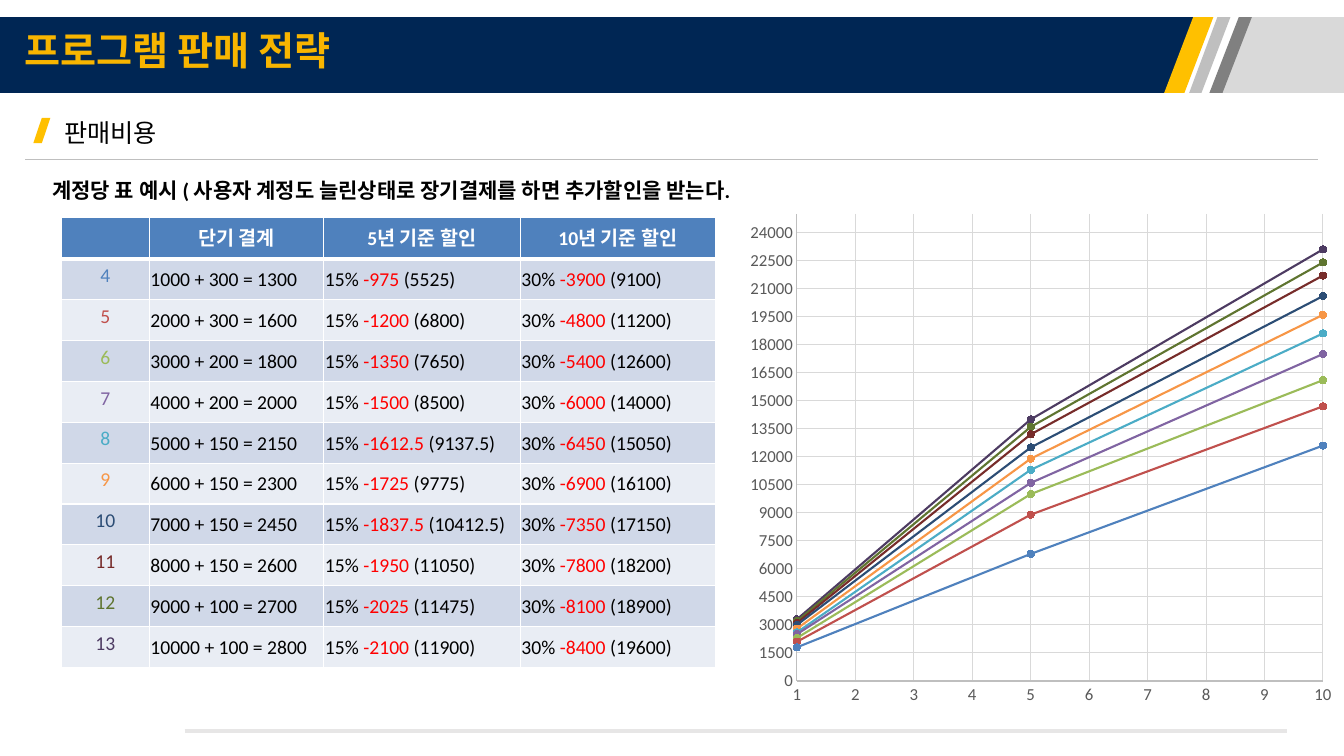
from lxml import etree
from pptx import Presentation, util as u
from pptx.chart.data import XyChartData
from pptx.dml.color import RGBColor
from pptx.enum import chart as ch, shapes, text
from pptx.oxml import parse_xml
from pptx.oxml.ns import nsdecls, qn

TITLE = "프로그램 판매 전략"
SECTION = "판매비용"
HEADING = "계정당 표 예시 ( 사용자 계정도 늘린상태로 장기결제를 하면 추가할인을 받는다."
HEADERS = ["", "단기 결계", "5년 기준 할인", "10년 기준 할인"]
PLANS = [
    (4, 1000, 300, "4F81BD", (1800, 6800, 12600)),
    (5, 2000, 300, "C0504D", (2100, 8900, 14700)),
    (6, 3000, 200, "9BBB59", (2300, 10000, 16100)),
    (7, 4000, 200, "8064A2", (2500, 10600, 17500)),
    (8, 5000, 150, "4BACC6", (2600, 11300, 18600)),
    (9, 6000, 150, "F79646", (2800, 11900, 19600)),
    (10, 7000, 150, "2C4D75", (3000, 12500, 20600)),
    (11, 8000, 150, "772C2A", (3100, 13200, 21700)),
    (12, 9000, 100, "5F7530", (3200, 13600, 22400)),
    (13, 10000, 100, "4D3B62", (3300, 14000, 23100)),
]
SHORT_TERMS = [300 + 1000, 1600, 1800, 2000, 2150, 2300, 2450, 2600, 2700, 2800]
DISCOUNTS = [(5, 15), (10, 30)]
YEARS = (1, 5, 10)
COLORS = {
    "navy": "002654", "gold": "FFC000", "title": "F8B500", "pale": "D9D9D9",
    "silver": "BFBFBF", "gray": "808080", "footer": "E7E6E6", "black": "000000",
    "white": "FFFFFF", "red": "FF0000", "label": "595959",
    "header": "4F81BD", "odd": "D0D8E8", "even": "E9EDF4",
}
BAND_TOP, BAND_BOTTOM = 0.43, 2.34
BAND = [
    ("navy", 0, 30.1, 29.36, 0),
    ("pale", 31.24, 33.87, 33.87, 30.51),
    ("silver", 30.68, 31.01, 30.28, 29.97),
    ("gray", 31.22, 31.55, 30.81, 30.48),
    ("gold", 30.07, 30.58, 29.85, 29.34),
]
RULES = [(4.65, 32.44, 18.42, "footer", 2.28), (0.64, 33.22, 4.01, "silver", 0.75)]
COLUMNS = [2.21, 4.4, 4.95, 4.93]
ROW_HEIGHT = 1.03
PLOT = {"x": 0.096, "y": 0.018, "w": 0.87, "h": 0.914}
BODY_FONT, KOREAN_FONT = "Calibri", "Noto Sans CJK KR"


def rgb(name):
    return RGBColor.from_string(COLORS.get(name, name))


def paint(shape, color):
    shape.shadow.inherit = False
    shape.fill.solid()
    shape.fill.fore_color.rgb = rgb(color)
    shape.line.fill.background()


def style(run, size, color, bold=False, font=BODY_FONT):
    run.font.size, run.font.bold, run.font.name = u.Pt(size), bold, font
    run.font.color.rgb = rgb(color)
    korean = etree.SubElement(run.font._element, qn("a:ea"))
    korean.set("typeface", KOREAN_FONT)


def add_text(slide, wording, box, size, bold=False):
    frame = slide.shapes.add_textbox(*map(u.Cm, box)).text_frame
    frame.word_wrap = True
    frame.text = wording
    style(frame.paragraphs[0].runs[0], size, "black", bold)
    return frame.paragraphs[0]


def add_rule(slide, left, right, y, color, width):
    rule = slide.shapes.add_connector(
        shapes.MSO_CONNECTOR.STRAIGHT, u.Cm(left), u.Cm(y), u.Cm(right), u.Cm(y))
    rule.line.color.rgb, rule.line.width = rgb(color), u.Pt(width)
    etree.SubElement(rule.element.spPr, qn("a:effectLst"))


def fill_cell(cell, parts, fill, header=False, centered=False):
    paragraph = cell.text_frame.paragraphs[0]
    for wording, color in parts:
        run = paragraph.add_run()
        run.text = wording
        style(run, 14, color, header)
    if centered:
        paragraph.alignment = text.PP_ALIGN.CENTER
    else:
        cell.vertical_anchor = text.MSO_ANCHOR.MIDDLE
        cell.margin_left = cell.margin_right = cell.margin_top = u.Cm(0.03)
        cell.margin_bottom = 0
    properties = cell._tc.get_or_add_tcPr()
    for side in ("L", "R", "T", "B"):
        width = u.Pt(3 if header and side == "B" else 1)
        properties.append(parse_xml(
            f'<a:ln{side} {nsdecls("a")} w="{width}"><a:solidFill>'
            f'<a:srgbClr val="{COLORS["white"]}"/></a:solidFill></a:ln{side}>'))
    cell.fill.solid()
    cell.fill.fore_color.rgb = rgb(fill)


def add_prices(slide):
    prices = slide.shapes.add_table(
        len(PLANS) + 1, len(COLUMNS), u.Cm(1.55), u.Cm(5.49),
        u.Cm(sum(COLUMNS)), u.Cm(ROW_HEIGHT * (len(PLANS) + 1))).table
    for column, width in zip(prices.columns, COLUMNS):
        column.width = u.Cm(width)
    for row in prices.rows:
        row.height = u.Cm(ROW_HEIGHT)
    for col, wording in enumerate(HEADERS):
        parts = [(wording, "white")] if wording else []
        fill_cell(prices.cell(0, col), parts, "header", True, True)
    for row, ((accounts, base, extra, color, _), short) in enumerate(zip(PLANS, SHORT_TERMS), 1):
        fill = "odd" if row % 2 else "even"
        fill_cell(prices.cell(row, 0), [(str(accounts), color)], fill, centered=True)
        fill_cell(prices.cell(row, 1), [(f"{base} + {extra} = {short}", "black")], fill)
        for col, (years, percent) in enumerate(DISCOUNTS, 2):
            saved = short * years * percent / 100
            parts = [(f"{percent}% ", "black"), (f"-{saved:g} ", "red"),
                     (f"({short * years - saved:g})", "black")]
            fill_cell(prices.cell(row, col), parts, fill)


def format_axis(axis, low, high, step):
    axis.minimum_scale, axis.maximum_scale, axis.major_unit = low, high, step
    axis.major_tick_mark = axis.minor_tick_mark = ch.XL_TICK_MARK.NONE
    axis.has_major_gridlines = True
    for line, color in ((axis.format.line, "silver"), (axis.major_gridlines.format.line, "pale")):
        line.color.rgb, line.width = rgb(color), u.Pt(0.75)
    labels = axis.tick_labels
    labels.number_format, labels.number_format_is_linked = "General", False
    labels.font.size, labels.font.name = u.Pt(12), BODY_FONT
    labels.font.color.rgb = rgb("label")


def add_growth(slide):
    data = XyChartData()
    for number, (*_, values) in enumerate(PLANS, 1):
        series = data.add_series(f"Series {number}")
        for year, value in zip(YEARS, values):
            series.add_data_point(year, value)
    growth = slide.shapes.add_chart(
        ch.XL_CHART_TYPE.XY_SCATTER_SMOOTH, u.Cm(18.62), u.Cm(5.16),
        u.Cm(15.24), u.Cm(12.88), data).chart
    growth.has_legend = growth.has_title = False
    growth.font.size, growth.font.name = u.Pt(10), BODY_FONT
    growth.font.color.rgb = rgb("black")
    growth.plots[0].vary_by_categories = False
    format_axis(growth.category_axis, 1, 10, 1)
    format_axis(growth.value_axis, 0, 25000, 1500)
    for series, (_, _, _, color, _) in zip(growth.plots[0].series, PLANS):
        series.format.line.color.rgb, series.format.line.width = rgb(color), u.Pt(1.5)
        marker = series.marker
        marker.style, marker.size = ch.XL_MARKER_STYLE.CIRCLE, 5
        marker.format.fill.solid()
        marker.format.fill.fore_color.rgb = rgb(color)
        marker.format.line.color.rgb = rgb(color)
    area = growth._chartSpace.find(".//" + qn("c:plotArea"))
    for layout in area.findall(qn("c:layout")):
        area.remove(layout)
    sizes = "".join(f'<c:{key} val="{value}"/>' for key, value in PLOT.items())
    area.insert(0, parse_xml(
        f'<c:layout {nsdecls("c")}><c:manualLayout><c:layoutTarget val="inner"/>'
        f'<c:xMode val="edge"/><c:yMode val="edge"/>{sizes}</c:manualLayout></c:layout>'))


def add_title(slide):
    title = slide.shapes.title
    title.left, title.top, title.width, title.height = map(u.Cm, (0.61, 0.64, 19.51, 1.22))
    frame = title.text_frame
    frame.text = TITLE
    frame.auto_size = text.MSO_AUTO_SIZE.NONE
    frame.vertical_anchor = text.MSO_ANCHOR.MIDDLE
    frame.margin_left = frame.margin_right = frame.margin_bottom = 0
    frame.margin_top = u.Cm(0.03)
    frame.paragraphs[0].alignment = text.PP_ALIGN.LEFT
    style(frame.paragraphs[0].runs[0], 28, "title", True, KOREAN_FONT)
    title.element.getparent().append(title.element)


def main():
    deck = Presentation()
    deck.slide_width, deck.slide_height = u.Cm(33.87), u.Cm(19.05)
    slide = deck.slides.add_slide(deck.slide_layouts[5])
    top, bottom = u.Cm(BAND_TOP), u.Cm(BAND_BOTTOM)
    for color, *corners in BAND:
        xs = [u.Cm(x) for x in corners]
        outline = slide.shapes.build_freeform(xs[0], top)
        outline.add_line_segments(list(zip(xs[1:], (top, bottom, bottom))))
        paint(outline.convert_to_shape(), color)
    for rule in RULES:
        add_rule(slide, *rule)
    add_title(slide)
    bullet = slide.shapes.add_shape(
        shapes.MSO_SHAPE.PARALLELOGRAM, u.Cm(0.84), u.Cm(2.97), u.Cm(0.43), u.Cm(0.64))
    bullet.adjustments[0] = 0.5
    paint(bullet, "gold")
    add_text(slide, SECTION, (1.37, 2.82, 32.08, 1.02), 18)
    add_text(slide, HEADING, (1.07, 4.04, 29.87, 1.12), 15, True).line_spacing = 1.5
    add_prices(slide)
    add_growth(slide)
    deck.save("out.pptx")


if __name__ == "__main__":
    main()
